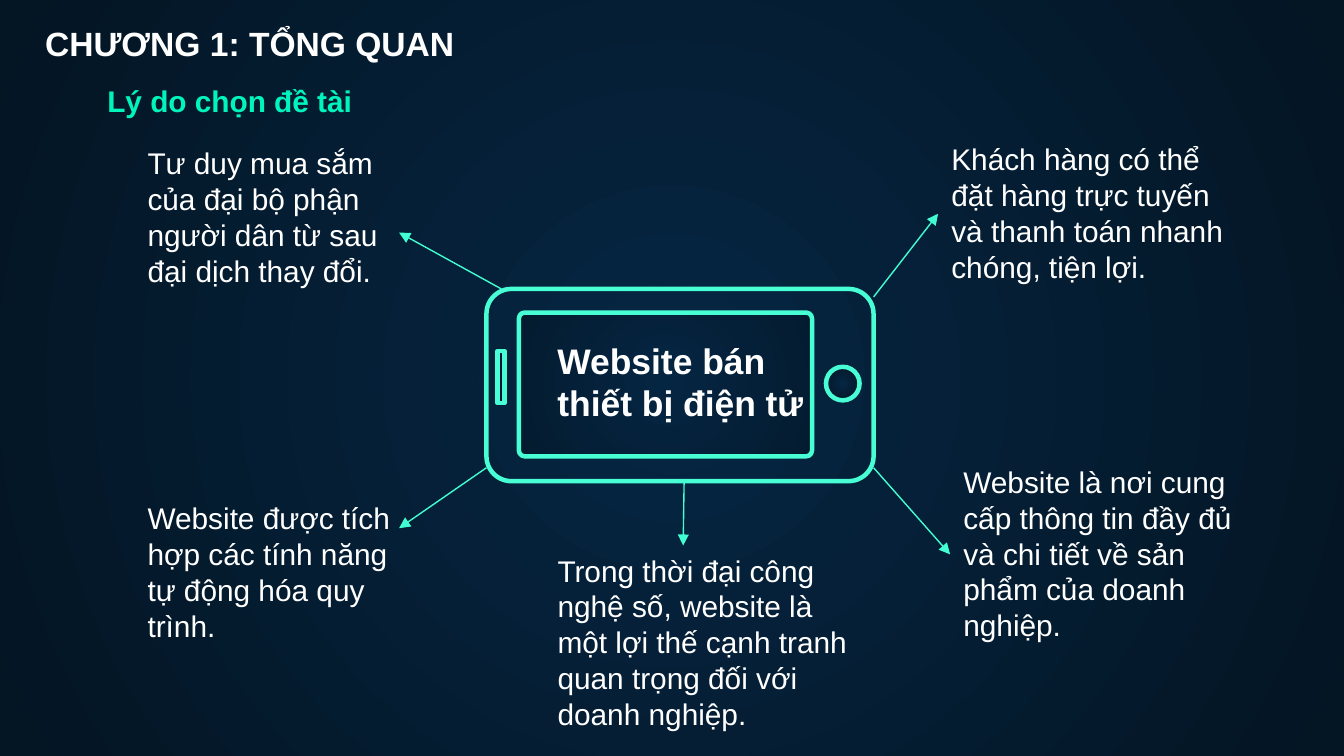
from lxml import etree
from pptx import Presentation
from pptx.dml.color import RGBColor
from pptx.enum import shapes as sh, text as tx
from pptx.oxml import parse_xml
from pptx.oxml.ns import qn
from pptx.util import Pt

NS = 'xmlns:a="http://schemas.openxmlformats.org/drawingml/2006/main"'
GLOW = (f'<a:path {NS} path="circle">'
        '<a:fillToRect l="50000" t="50000" r="50000" b="50000"/></a:path>')


def tint(color, code):
    color.rgb = RGBColor.from_string(code)


def write(box, words, size, code, bold, wrap):
    frame = box.text_frame
    frame.word_wrap = wrap
    frame.auto_size = tx.MSO_AUTO_SIZE.SHAPE_TO_FIT_TEXT
    frame.vertical_anchor = tx.MSO_ANCHOR.TOP
    frame.text = words
    para = frame.paragraphs[0]
    para.alignment = tx.PP_ALIGN.LEFT
    font = para.runs[0].font
    font.name, font.size, font.bold = "Arial", Pt(size), bold
    tint(font.color, code)


prs = Presentation()
prs.slide_width, prs.slide_height = Pt(720), Pt(405)
slide = prs.slides.add_slide(prs.slide_layouts[5])
fills = [slide.background.fill]

title = slide.shapes.title
title.left, title.top, title.width, title.height = Pt(17), Pt(8.6), Pt(236), Pt(29)
write(title, "CHƯƠNG 1: TỔNG QUAN", 18, "FFFFFF", True, False)

kinds = sh.MSO_SHAPE
parts = [
    ("body", kinds.ROUNDED_RECTANGLE, 260.6, 154.8, 207.4, 103),
    ("screen", kinds.ROUNDED_RECTANGLE, 278, 167.5, 157, 77),
    ("button", kinds.OVAL, 442.5, 196.5, 18, 18),
    ("speaker", kinds.RECTANGLE, 266.6, 188, 3.6, 28),
]
phone = {}
for name, kind, x, y, w, h in parts:
    part = slide.shapes.add_shape(kind, Pt(x), Pt(y), Pt(w), Pt(h))
    part.shadow.inherit = False
    part.line.width = Pt(2.4)
    tint(part.line.color, "48FFD5")
    phone[name] = part
phone["body"].adjustments[0] = 0.13
phone["screen"].adjustments[0] = 0.04
phone["body"].fill.background()
phone["speaker"].fill.solid()
tint(phone["speaker"].fill.fore_color, "161234")

fills += [phone["screen"].fill, phone["button"].fill]
for fill in fills:
    fill.gradient()
    for stop, code in zip(fill.gradient_stops, ("052643", "041523")):
        tint(stop.color, code)
for lin in slide.element.xpath("//a:gradFill/a:lin"):
    lin.getparent().replace(lin, parse_xml(GLOW))
for color in phone["screen"].element.xpath("./p:spPr/a:gradFill//a:srgbClr"):
    etree.SubElement(color, qn("a:alpha")).set("val", "53000")

notes = [
    ("topic", "Lý do chọn đề tài", 50.4, 41, 148, 27, 16, "00F5BD", True),
    ("centre", "Website bán thiết bị điện tử", 291.6, 178, 148.3, 53, 19, "FFFFFF", True),
    ("order", "Khách hàng có thể đặt hàng trực tuyến và thanh toán nhanh chóng, tiện lợi.",
     502.6, 72, 161.3, 85, 16, "FFFFFF", False),
    ("info", "Website là nơi cung cấp thông tin đầy đủ và chi tiết về sản phẩm của doanh nghiệp.",
     509, 244.8, 159, 104.4, 16, "FFFFFF", False),
    ("habit", "Tư duy mua sắm của đại bộ phận người dân từ sau đại dịch thay đổi.",
     72, 74.2, 144, 85, 16, "FFFFFF", False),
    ("edge", "Trong thời đại công nghệ số, website là một lợi thế cạnh tranh "
     "quan trọng đối với doanh nghiệp.", 291.6, 292.3, 173.5, 104.4, 16, "FFFFFF", False),
    ("auto", "Website được tích hợp các tính năng tự động hóa quy trình.",
     72, 264.2, 153.4, 85, 16, "FFFFFF", False),
]
boxes = {}
for name, words, x, y, w, h, size, code, bold in notes:
    box = slide.shapes.add_textbox(Pt(x), Pt(y), Pt(w), Pt(h))
    write(box, words, size, code, bold, name != "topic")
    boxes[name] = box

arrows = [
    (268.6, 154.8, 213.8, 124.6, None),
    (468, 159.1, 502.6, 114.5, "order"),
    (260.6, 250.6, 213.8, 283, None),
    (468, 250.6, 509, 297, "info"),
    (366.5, 257.8, 366, 292.3, None),
]
for x1, y1, x2, y2, goal in arrows:
    arrow = slide.shapes.add_connector(
        sh.MSO_CONNECTOR.STRAIGHT, Pt(x1), Pt(y1), Pt(x2), Pt(y2))
    if goal:
        arrow.end_connect(boxes[goal], 1)
    arrow.line.width = Pt(0.75)
    tint(arrow.line.color, "42FED3")
    props = arrow.element.spPr
    etree.SubElement(props.find(qn("a:ln")), qn("a:tailEnd")).set("type", "triangle")
    etree.SubElement(props, qn("a:effectLst"))

prs.save("out.pptx")
